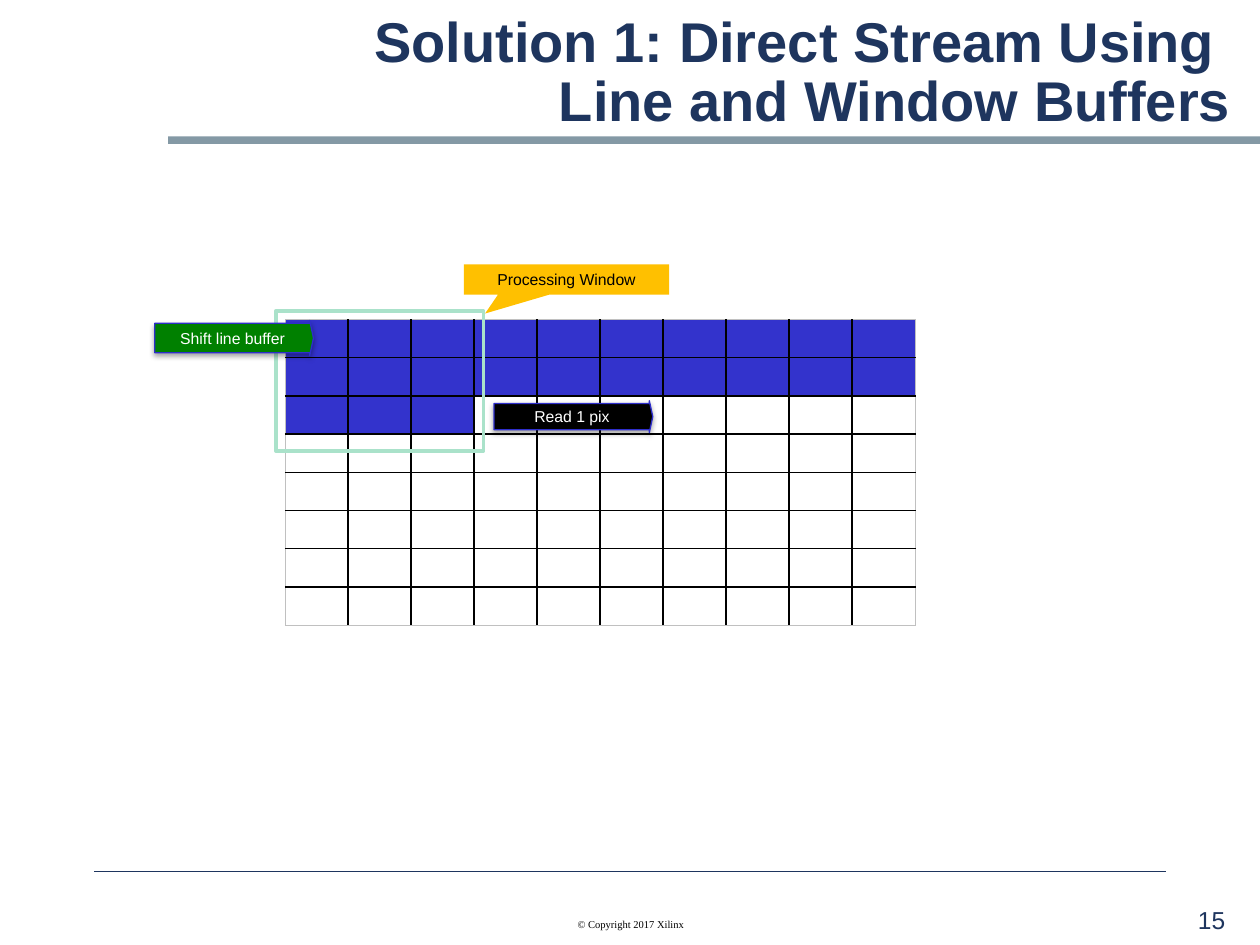
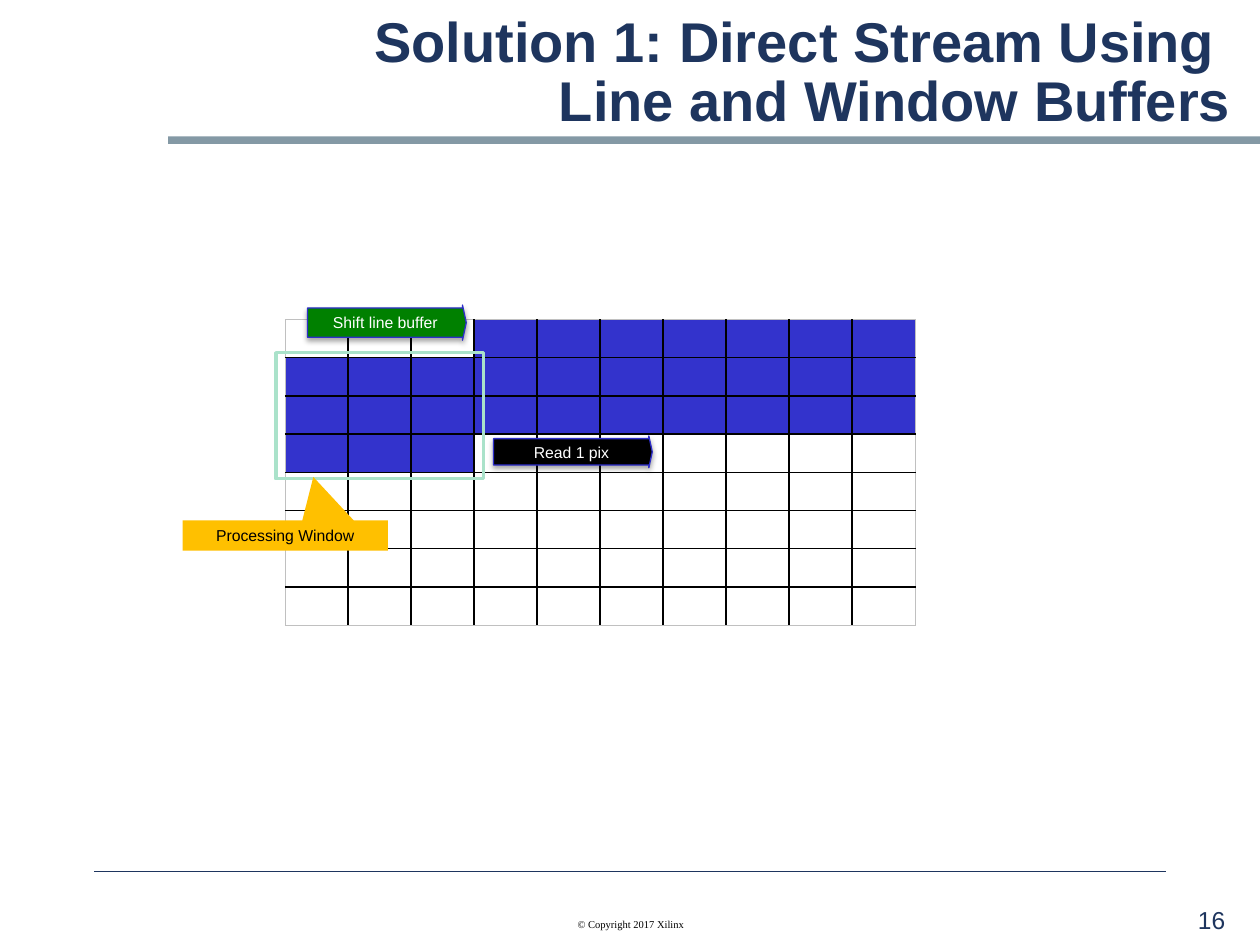
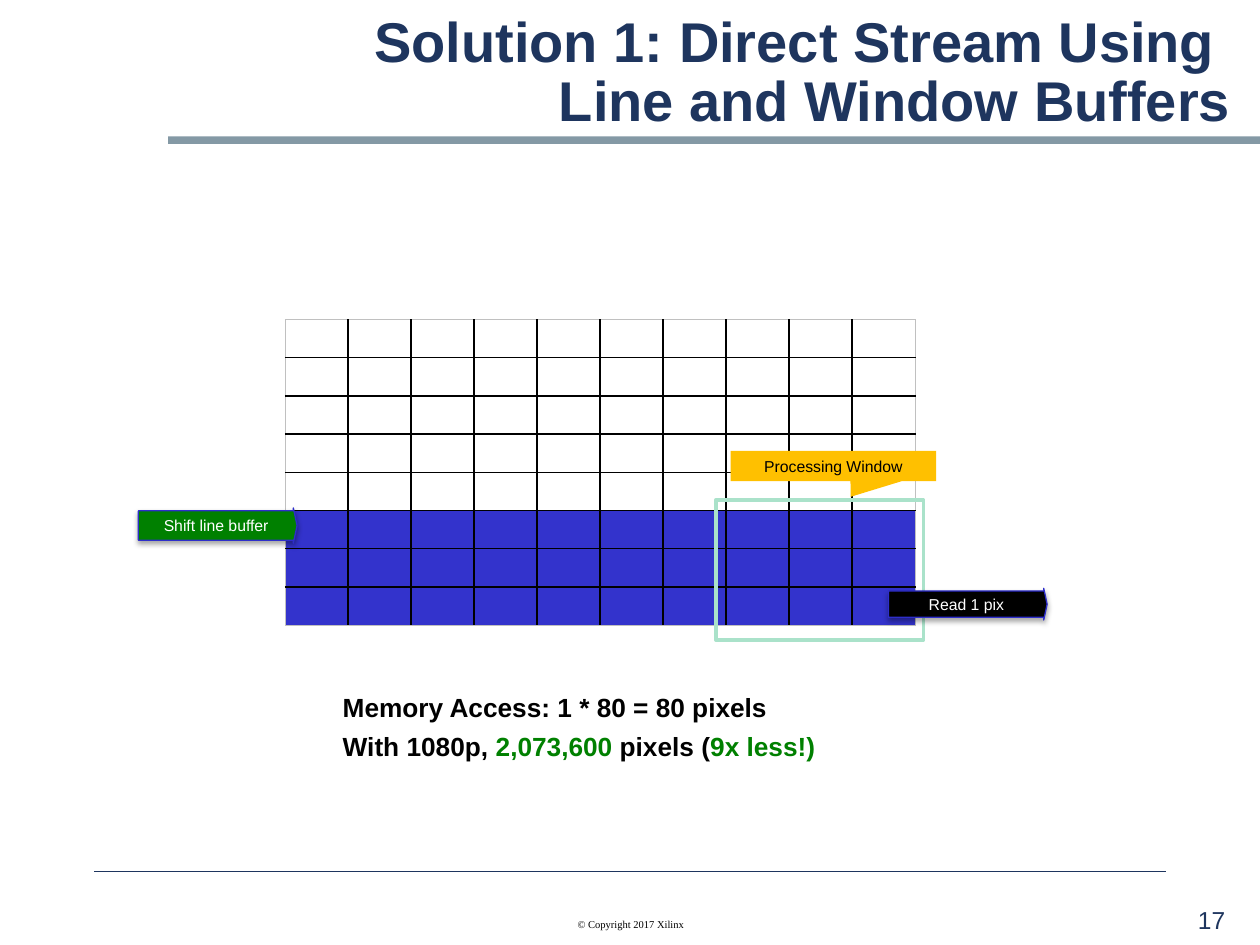
from lxml import etree
from pptx import Presentation
from pptx import util as u
from pptx.dml.color import RGBColor
from pptx.enum import shapes, text
from pptx.oxml import ns

NAVY = RGBColor(0x1E, 0x35, 0x5E)
STEEL = RGBColor(0x84, 0x99, 0xA5)
BLUE = RGBColor(0x33, 0x33, 0xCC)
EDGE = RGBColor(0x2E, 0x2E, 0xCB)
MINT = RGBColor(0xAA, 0xE2, 0xCA)
GOLD = RGBColor(0xFF, 0xC0, 0x00)
GREEN = RGBColor(0x00, 0x80, 0x00)
GREY = RGBColor(0xC0, 0xC0, 0xC0)
BLACK = RGBColor(0, 0, 0)
WHITE = RGBColor(255, 255, 255)

ROWS, COLS = 8, 10
CELL_W, CELL_H = 1.27, 0.77
FORM = shapes.MSO_SHAPE
LEFT, MID, RIGHT = (text.PP_ALIGN.LEFT, text.PP_ALIGN.CENTER,
                    text.PP_ALIGN.RIGHT)

# Font formats
HEAD = dict(name="Arial", size=u.Pt(32), bold=True)
BODY = dict(name="Arial", size=u.Pt(15), bold=True)
LABEL = dict(name="Arial", size=u.Pt(9))
PAGE = dict(name="Arial", size=u.Pt(14))
LEGAL = dict(name="Times New Roman", size=u.Pt(6))

TITLE = ["Solution 1: Direct Stream Using ", "Line and Window Buffers"]


def add(parent, tag, **attrs):
    return etree.SubElement(parent, ns.qn("a:" + tag), attrs)


class Deck:
    def __init__(self):
        self.prs = Presentation()
        self.prs.slide_width, self.prs.slide_height = u.Cm(25.4), u.Cm(19.05)
        self.slide = None

    def page(self, num):
        """Start a slide with the shared title, band and footer."""
        self.slide = self.prs.slides.add_slide(self.prs.slide_layouts[6])
        self.shape(FORM.RECTANGLE, (3.39, 2.75, 22.01, 0.15), STEEL)
        self.line(1.9, 17.57, 23.5)
        self.text((23.9, 18.19, 1.65, 0.66), [[(str(num), NAVY)]], PAGE,
                  space=0.88)
        self.text((8.69, 18.29, 8.05, 0.69),
                  [[("© Copyright 2017 Xilinx", BLACK)]], LEGAL, MID,
                  text.MSO_ANCHOR.MIDDLE)
        first, last = TITLE
        self.text((2.11, 0.76, 22.96, 1.47),
                  [[(first, NAVY), None, (last, NAVY)]], HEAD, RIGHT,
                  text.MSO_ANCHOR.MIDDLE, 0.88)

    def fill_in(self, frame, paras, form, align, space=None, gap=0):
        """Fill a frame; a run is (words, colour), None breaks the line."""
        for i, runs in enumerate(paras):
            para = frame.add_paragraph() if i else frame.paragraphs[0]
            para.alignment, para.line_spacing = align, space
            if i:
                para.space_before = u.Pt(gap)
            for item in runs:
                if item is None:
                    para.add_line_break()
                    continue
                run = para.add_run()
                run.text, run.font.color.rgb = item
                for key, val in form.items():
                    setattr(run.font, key, val)

    def text(self, box, paras, form, align=LEFT, anchor=text.MSO_ANCHOR.TOP,
             space=None, gap=0, inset=0.25):
        frame = self.slide.shapes.add_textbox(*map(u.Cm, box)).text_frame
        frame.word_wrap, frame.vertical_anchor = True, anchor
        frame.margin_left = u.Cm(inset)
        self.fill_in(frame, paras, form, align, space, gap)

    def line(self, left, top, right):
        rule = self.slide.shapes.add_connector(
            shapes.MSO_CONNECTOR.STRAIGHT,
            *map(u.Cm, (left, top, right, top)))
        rule.line.color.rgb, rule.line.width = NAVY, u.Pt(0.75)
        add(rule._element.spPr, "effectLst")

    def shape(self, kind, box, fill=None, edge=None, width=0.75, adjust=()):
        form = self.slide.shapes.add_shape(kind, *map(u.Cm, box))
        form.shadow.inherit = False
        for i, val in enumerate(adjust):
            form.adjustments[i] = val
        if fill is None:
            form.fill.background()
        else:
            form.fill.solid()
            form.fill.fore_color.rgb = fill
        if edge is None:
            form.line.fill.background()
        else:
            form.line.color.rgb, form.line.width = edge, u.Pt(width)
        return form

    def label(self, form, words, color):
        frame = form.text_frame
        margins = dict(margin_left=0.2, margin_right=0.2,
                       margin_top=0.1, margin_bottom=0.1)
        for key, val in margins.items():
            setattr(frame, key, u.Cm(val))
        frame.word_wrap = True
        frame.vertical_anchor = text.MSO_ANCHOR.MIDDLE
        self.fill_in(frame, [[(words, color)]], LABEL, MID)

    def arrow(self, left, top, high, words, fill):
        form = self.shape(FORM.RIGHT_ARROW, (left, top, 3.2, high), fill,
                          EDGE, adjust=(0.833, 0.107))
        effect = form._element.spPr.find(ns.qn("a:effectLst"))
        shade = add(effect, "outerShdw", blurRad=str(u.Pt(3.1)),
                    dist=str(u.Pt(1.8)), dir="5400000", rotWithShape="0")
        add(add(shade, "srgbClr", val=str(BLACK)), "alpha", val="35000")
        self.label(form, words, WHITE)

    def callout(self, left, top, *tip):
        form = self.shape(FORM.RECTANGULAR_CALLOUT, (left, top, 4.14, 0.61),
                          GOLD, adjust=tip)
        self.label(form, "Processing Window", BLACK)

    def pixels(self, start, stop):
        """Draw the pixel grid; cells start to stop are in the buffer."""
        box = (5.75, 6.44, COLS * CELL_W, ROWS * CELL_H)
        grid = self.slide.shapes.add_table(ROWS, COLS, *map(u.Cm, box)).table
        grid.first_row = grid.horz_banding = False
        for col in grid.columns:
            col.width = u.Cm(CELL_W)
        for row in grid.rows:
            row.height = u.Cm(CELL_H)
        for i, cell in enumerate(grid.iter_cells()):
            row, col = divmod(i, COLS)
            cell.margin_top = cell.margin_bottom = 0
            outer = dict(lnL=col == 0, lnR=col == COLS - 1,
                         lnT=row == 0, lnB=row == ROWS - 1)
            for tag, rim in outer.items():
                edge = add(cell._tc.get_or_add_tcPr(), tag,
                           w=str(u.Pt(0.5 if rim else 1)))
                add(add(edge, "solidFill"), "srgbClr",
                    val=str(GREY if rim else BLACK))
            cell.fill.solid()
            cell.fill.fore_color.rgb = BLUE if start <= i < stop else WHITE

    def step(self, num, cells, window, read, shift, call):
        """Build one stage of the stream."""
        self.page(num)
        self.pixels(*cells)
        left, top, high = window
        self.shape(FORM.RECTANGLE, (left, top, 4.19, high), None, MINT, 2)
        self.arrow(*read, 0.64, "Read 1 pix", BLACK)
        self.arrow(*shift, 0.71, "Shift line buffer", GREEN)
        self.callout(*call)


def main():
    deck = Deck()
    # First window
    deck.step(15, (0, 23), (5.56, 6.27, 2.82), (9.96, 8.08), (3.12, 6.46),
              (9.35, 5.33, -0.396, 1.125))
    # Next line
    deck.step(16, (3, 33), (5.56, 7.11, 2.54), (9.95, 8.79), (6.2, 6.15),
              (3.68, 10.49, 0.137, -1.933))
    # Last window and the total cost
    deck.step(17, (50, 80), (14.43, 10.08, 2.82), (17.91, 11.86),
              (2.79, 10.24), (14.73, 9.09, 0.085, 1.017))
    deck.text((6.91, 13.74, 11.56, 1.73),
              [[("Memory Access: 1 * 80 = 80 pixels", BLACK)],
               [("With 1080p, ", BLACK), ("2,073,600", GREEN),
                (" pixels (", BLACK), ("9x less!)", GREEN)]],
              BODY, space=1.1, gap=3, inset=0)
    deck.prs.save("out.pptx")


if __name__ == "__main__":
    main()
